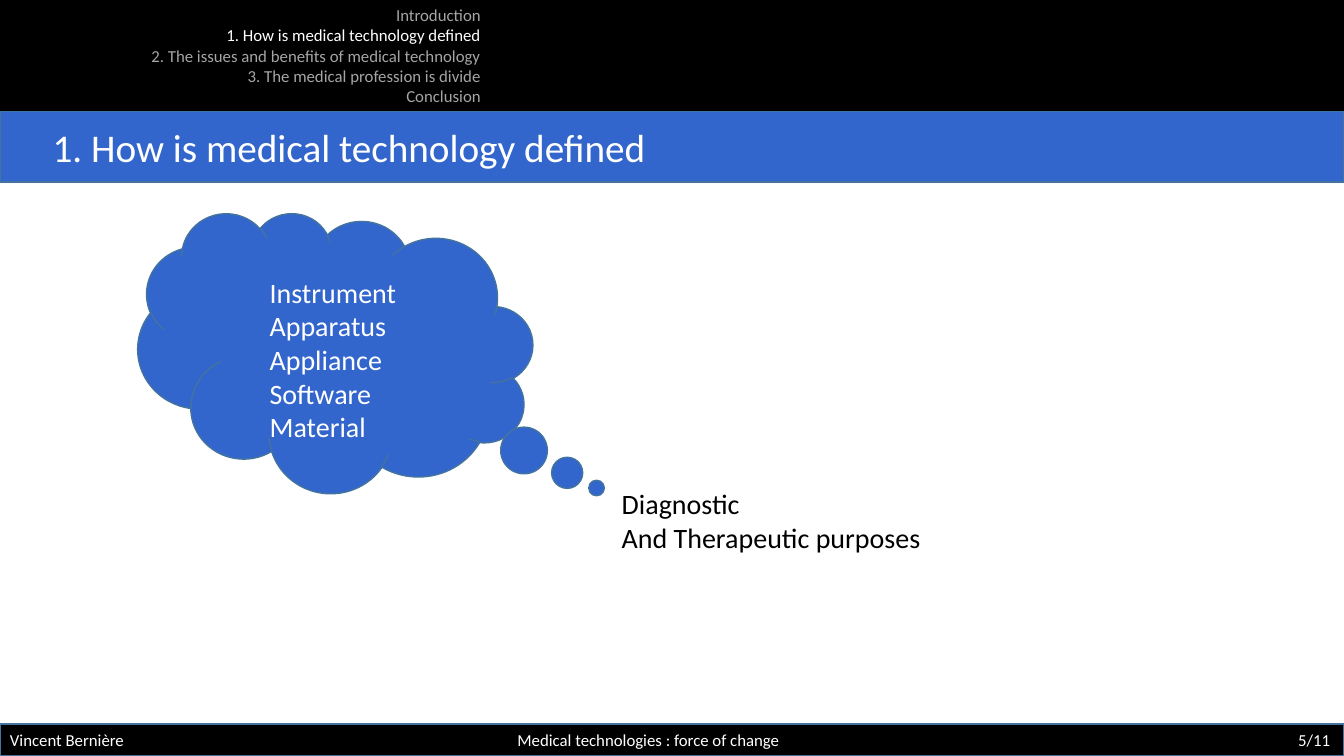
from lxml import etree
from pptx import Presentation
from pptx.dml import color
from pptx.enum import shapes, text
from pptx.oxml import ns
from pptx.util import Pt

WIDTH, HEIGHT = 960, 540
BLACK, WHITE, GREY = "000000", "FFFFFF", "A5A5A5"
BLUE, EDGE = "3366CC", "43739E"


def rgb(value):
    return color.RGBColor.from_string(value)


class SlideBuilder:
    font_name = "Calibri"

    def __init__(self, slide):
        self.slide = slide

    def shape(self, kind, left, top, width, height, fill, line=EDGE):
        item = self.slide.shapes.add_shape(
            kind, Pt(left), Pt(top), Pt(width), Pt(height))
        item.shadow.inherit = False
        item.fill.solid()
        item.fill.fore_color.rgb = rgb(fill)
        item.line.color.rgb = rgb(line)
        item.line.width = Pt(1)
        return item

    def bar(self, top, height, fill, line=EDGE):
        return self.shape(shapes.MSO_SHAPE.RECTANGLE, 0, top, WIDTH, height, fill, line)

    def thought(self, left, top, width, height, tail):
        cloud = self.shape(shapes.MSO_SHAPE.CLOUD_CALLOUT, left, top, width, height, BLUE)
        for index, offset in enumerate(tail):
            cloud.adjustments[index] = offset
        cloud.element.spPr.find(ns.qn("a:xfrm")).set("flipH", "1")

    def lines(self, left, top, width, height, size, entries, align=text.PP_ALIGN.LEFT):
        frame = self.slide.shapes.add_textbox(
            Pt(left), Pt(top), Pt(width), Pt(height)).text_frame
        frame.word_wrap = True
        for index, (words, ink) in enumerate(entries):
            paragraph = frame.add_paragraph() if index else frame.paragraphs[0]
            paragraph.text = words
            paragraph.alignment = align
            paragraph.font.name = self.font_name
            paragraph.font.size = Pt(size)
            paragraph.font.color.rgb = rgb(ink)
        return frame

    def tabbed_line(self, left, top, width, height, size, parts, ink, stops):
        frame = self.lines(left, top, width, height, size, [("\t".join(parts), ink)])
        tabs = etree.Element(ns.qn("a:tabLst"))
        for position, side in stops:
            etree.SubElement(tabs, ns.qn("a:tab"), pos=str(Pt(position)), algn=side)
        frame.paragraphs[0]._p.get_or_add_pPr().insert(0, tabs)


def main():
    deck = Presentation()
    deck.slide_width, deck.slide_height = Pt(WIDTH), Pt(HEIGHT)
    page = SlideBuilder(deck.slides.add_slide(deck.slide_layouts[6]))

    sections = [
        "Introduction",
        "1. How is medical technology defined",
        "2. The issues and benefits of medical technology",
        "3. The medical profession is divide",
        "Conclusion",
    ]
    current = sections[1]
    devices = ["Instrument", "Apparatus", "Appliance", "Software", "Material"]
    purposes = ["Diagnostic", "And Therapeutic purposes"]
    footer = ["Vincent Bernière", "Medical technologies : force of change", "5/11"]

    page.thought(98.5, 152, 282, 200, (-0.662, 0.483))
    page.bar(0, 84, BLACK, BLACK)
    page.bar(517, 23, BLACK)
    page.bar(79.5, 50.5, BLUE)

    page.lines(30.5, 84.5, 464, 41, 28, [(current, WHITE)])
    page.tabbed_line(0, 517.5, WIDTH, 22, 12, footer, WHITE, [(362.5, "l"), (943, "r")])
    page.lines(185.5, 193, 150, 129, 20, [(device, WHITE) for device in devices])
    page.lines(0, 0, 350.5, 80, 12,
               [(section, WHITE if section == current else GREY) for section in sections],
               text.PP_ALIGN.RIGHT)
    page.lines(437, 344, 288, 56, 20, [(purpose, BLACK) for purpose in purposes])

    deck.save("out.pptx")


if __name__ == "__main__":
    main()
